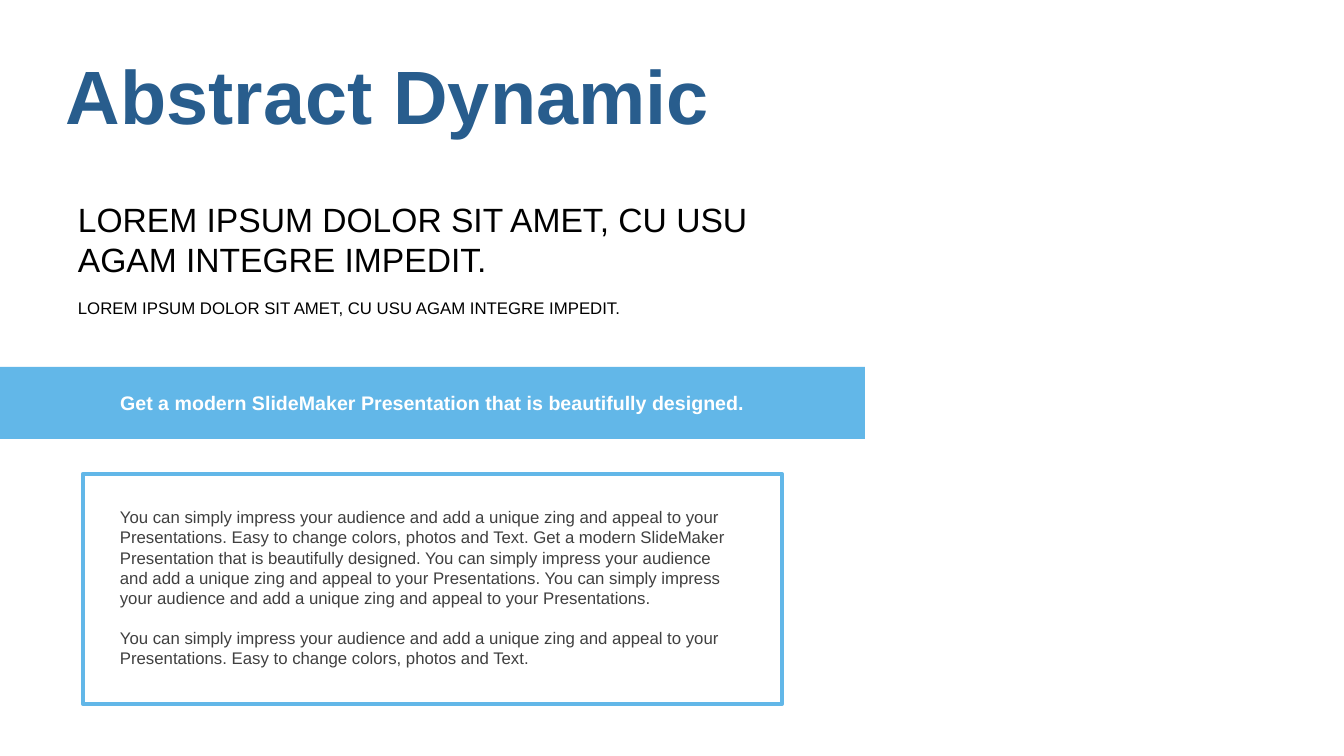
"""Build the Abstract Dynamic slide with a banner and a framed text."""
from dataclasses import dataclass

from pptx import Presentation
from pptx.dml.color import RGBColor as Rgb
from pptx.enum.shapes import MSO_SHAPE as Shape
from pptx.enum.text import MSO_ANCHOR as Anchor, PP_ALIGN as Align
from pptx.util import Pt

PITCH = "You can simply impress your audience and add a unique zing and appeal to your Presentations."
EASY = "Easy to change colors, photos and Text."
DESIGNED = "Get a modern SlideMaker Presentation that is beautifully designed."
LOREM = "LOREM IPSUM DOLOR SIT AMET, CU USU AGAM INTEGRE IMPEDIT."
BODY = [f"{PITCH} {EASY} {DESIGNED} {PITCH} {PITCH}", f"{PITCH} {EASY}"]

SLIDE = (1344, 756)
BAND = (0, 367, 865, 72)
FRAME = (83, 474, 699, 230)
EMU_PER_PX = 914400 / 100.8


@dataclass(frozen=True)
class Theme:
    """Colours, font and type sizes."""
    font: str = "Arial"
    navy: str = "285D8D"
    sky: str = "62B7E8"
    grey: str = "404040"
    black: str = "000000"
    white: str = "FFFFFF"
    title: int = 54
    lead: int = 24
    banner: int = 14
    body: int = 12
    gap: int = 14
    border: int = 3


THEME = Theme()

TEXTS = [
    dict(box=(56, 60, 677, 79), lines=["Abstract Dynamic"], size=THEME.title,
         color=THEME.navy, bold=True, anchor=Anchor.MIDDLE, spacing=0.9),
    dict(box=(110, 502, 644, 173), lines=BODY, size=THEME.body, color=THEME.grey),
    dict(box=(83, 386, 699, 34), lines=[DESIGNED], size=THEME.banner,
         color=THEME.white, bold=True, align=Align.CENTER),
    dict(box=(68, 293, 715, 30), lines=[LOREM], size=THEME.body,
         color=THEME.black, anchor=Anchor.MIDDLE),
    dict(box=(68, 193, 715, 92), lines=[LOREM], size=THEME.lead,
         color=THEME.black, anchor=Anchor.MIDDLE),
]


def emu(lengths):
    """Turn px lengths into EMU."""
    return [round(length * EMU_PER_PX) for length in lengths]


def add_rectangle(slide, box, fill=None, border=None):
    """Add a rectangle with an optional fill and border."""
    rectangle = slide.shapes.add_shape(Shape.RECTANGLE, *emu(box))
    rectangle.shadow.inherit = False
    for part, color in ((rectangle.fill, fill), (rectangle.line.fill, border)):
        if color:
            part.solid()
            part.fore_color.rgb = Rgb.from_string(color)
        else:
            part.background()
    if border:
        rectangle.line.width = Pt(THEME.border)


def add_text(slide, box, lines, size, color, bold=False, anchor=Anchor.TOP,
             align=Align.LEFT, spacing=None):
    """Add a wrapped text box with one paragraph per line."""
    frame = slide.shapes.add_textbox(*emu(box)).text_frame
    frame.word_wrap = True
    frame.vertical_anchor = anchor
    for index, line in enumerate(lines):
        paragraph = frame.add_paragraph() if index else frame.paragraphs[0]
        paragraph.alignment = align
        if spacing:
            paragraph.line_spacing = spacing
        if index:
            paragraph.space_before = Pt(THEME.gap)
        run = paragraph.add_run()
        run.text = line
        run.font.name = THEME.font
        run.font.size = Pt(size)
        run.font.bold = bold
        run.font.color.rgb = Rgb.from_string(color)


def main():
    """Compose and save the slide."""
    deck = Presentation()
    deck.slide_width, deck.slide_height = emu(SLIDE)
    slide = deck.slides.add_slide(deck.slide_layouts[6])
    add_rectangle(slide, BAND, fill=THEME.sky)
    add_rectangle(slide, FRAME, border=THEME.sky)
    for text in TEXTS:
        add_text(slide, **text)
    deck.save("out.pptx")


if __name__ == "__main__":
    main()
